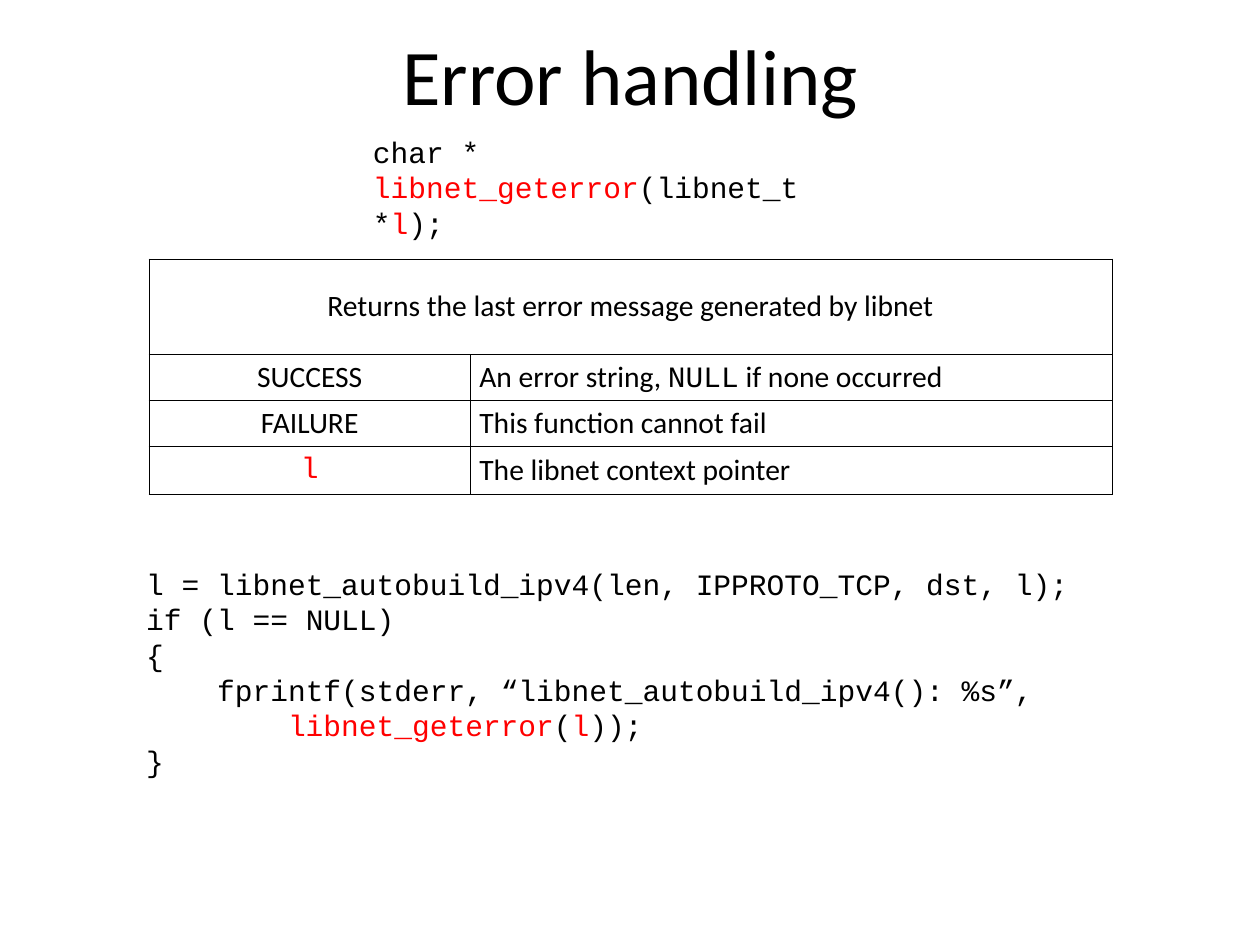
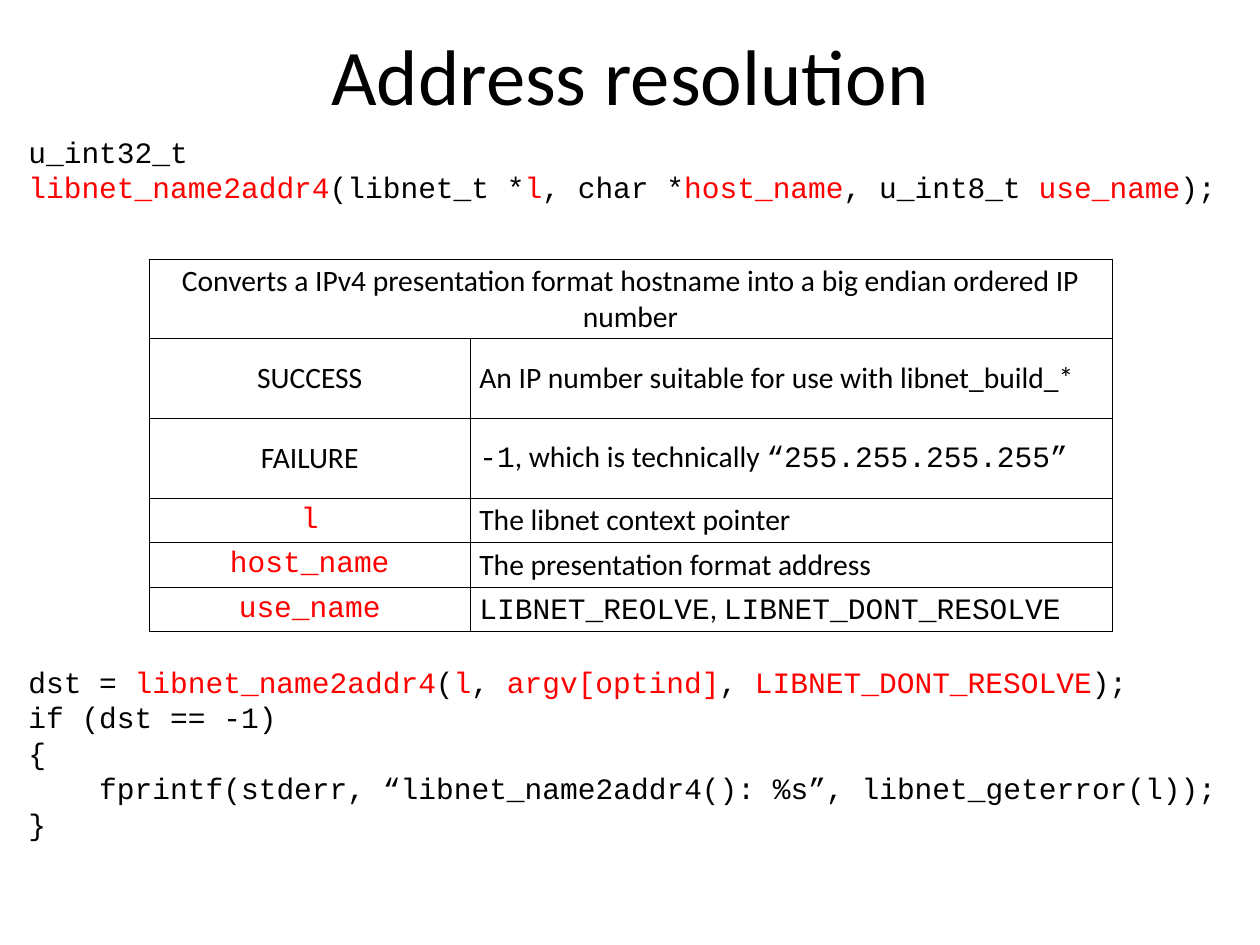
import pptx
import pptx.util
import pptx.enum.text
import pptx.dml.color
import pptx.oxml
import pptx.oxml.ns

Inches = pptx.util.Inches
Pt = pptx.util.Pt
ALIGN = pptx.enum.text.PP_ALIGN
MIDDLE = pptx.enum.text.MSO_ANCHOR.MIDDLE
GROW = pptx.enum.text.MSO_AUTO_SIZE.SHAPE_TO_FIT_TEXT

COLORS = {"ink": "000000", "mark": "FF0000"}
SANS, MONO = "Calibri", "Courier New"
SIZE = 24
GRID = (1.68, 2.92)
COLS = (3.63, 7.24)
RULE = 0.45

PAGES = [
    {
        "title": "Error handling",
        "call": ["char *", "~libnet_geterror~(libnet_t *~l~);"],
        "call_box": (4.21, 1.51, 5.8, 0.8),
        "wrap": False,
        "about": "Returns the last error message generated by libnet",
        "rows": [
            ("SUCCESS", "An error string, ~NULL~ if none occurred"),
            ("FAILURE", "This function cannot fail"),
            ("~l", "The libnet context pointer"),
        ],
        "heights": (1.08, 0.52, 0.52, 0.54),
        "code": [
            "l = libnet_autobuild_ipv4(len, IPPROTO_TCP, dst, l);",
            "if (l == NULL)",
            "{",
            "    fprintf(stderr, “libnet_autobuild_ipv4(): %s”,",
            "        ~libnet_geterror~(~l~));",
            "}",
        ],
        "code_box": (1.65, 6.38, 10.92, 2.4),
    },
    {
        "title": "Address resolution",
        "call": [
            "u_int32_t",
            "~libnet_name2addr4~(libnet_t *~l~, char *~host_name~, u_int8_t ~use_name~);",
        ],
        "call_box": (0.32, 1.51, 13.57, 0.8),
        "wrap": True,
        "about": "Converts a IPv4 presentation format hostname into a big endian ordered IP number",
        "rows": [
            ("SUCCESS", "An IP number suitable for use with libnet_build_*"),
            ("FAILURE", "~-1~, which is technically ~“255.255.255.255”"),
            ("~l", "The libnet context pointer"),
            ("~host_name", "The presentation format address"),
            ("~use_name", "~LIBNET_REOLVE~, ~LIBNET_DONT_RESOLVE"),
        ],
        "heights": (0.9, 0.9, 0.9, 0.5, 0.5, 0.5),
        "code": [
            "dst = ~libnet_name2addr4~(~l~, ~argv[optind]~, ~LIBNET_DONT_RESOLVE~);",
            "if (dst == -1)",
            "{",
            "    fprintf(stderr, “libnet_name2addr4(): %s”, libnet_geterror(l));",
            "}",
        ],
        "code_box": (0.32, 7.49, 13.57, 2),
    },
]


def paint(font, key):
    font.color.rgb = pptx.dml.color.RGBColor.from_string(COLORS[key])


def style(para, face, size=SIZE, align=ALIGN.LEFT):
    para.alignment = align
    para.font.name = face
    para.font.size = Pt(size)
    paint(para.font, "ink")


def write(para, text, face=None, key=None):
    for index, part in enumerate(text.split("~")):
        if part:
            run = para.add_run()
            run.text = part
            if index % 2:
                if face:
                    run.font.name = face
                if key:
                    paint(run.font, key)


def add_title(slide, text, box):
    title = slide.shapes.title
    title.left, title.top, title.width, title.height = map(Inches, box)
    frame = title.text_frame
    frame.text = text
    frame.vertical_anchor = MIDDLE
    style(frame.paragraphs[0], SANS, 64, ALIGN.CENTER)


def add_code(slide, lines, box, wrap=True):
    frame = slide.shapes.add_textbox(*map(Inches, box)).text_frame
    frame.margin_left = frame.margin_right = 0
    frame.margin_top = frame.margin_bottom = 0
    frame.word_wrap = wrap
    frame.auto_size = GROW
    for index, line in enumerate(lines):
        para = frame.add_paragraph() if index else frame.paragraphs[0]
        style(para, MONO)
        write(para, line, key="mark")


def rule(cell):
    cell.fill.background()
    props = cell._tc.get_or_add_tcPr()
    for index, side in enumerate("LRTB"):
        props.insert(index, pptx.oxml.parse_xml(
            f'<a:ln{side} {pptx.oxml.ns.nsdecls("a")} w="{int(Pt(RULE))}">'
            f'<a:solidFill><a:srgbClr val="{COLORS["ink"]}"/></a:solidFill>'
            f'</a:ln{side}>'))


def fill_cell(cell, text, align, key=None):
    cell.vertical_anchor = MIDDLE
    para = cell.text_frame.paragraphs[0]
    style(para, SANS, align=align)
    write(para, text, MONO, key)


def add_grid(slide, about, rows, heights, spot):
    size = (sum(COLS), sum(heights))
    table = slide.shapes.add_table(
        len(heights), len(COLS), *map(Inches, spot + size)).table
    table.first_row = table.horz_banding = False
    for col, width in zip(table.columns, COLS):
        col.width = Inches(width)
    for row, height in zip(table.rows, heights):
        row.height = Inches(height)
    for cell in table.iter_cells():
        rule(cell)
    head = table.cell(0, 0)
    head.merge(table.cell(0, 1))
    fill_cell(head, about, ALIGN.CENTER)
    for index, (name, note) in enumerate(rows, 1):
        fill_cell(table.cell(index, 0), name, ALIGN.CENTER, "mark")
        fill_cell(table.cell(index, 1), note, ALIGN.LEFT)


def add_page(deck, page):
    slide = deck.slides.add_slide(deck.slide_layouts[5])
    add_title(slide, page["title"], (1.39, 0.28, 11.44, 1.12))
    add_code(slide, page["call"], page["call_box"], page["wrap"])
    add_grid(slide, page["about"], page["rows"], page["heights"], GRID)
    add_code(slide, page["code"], page["code_box"])


def main():
    deck = pptx.Presentation()
    deck.slide_width, deck.slide_height = Inches(14.22), Inches(10.66)
    for page in PAGES:
        add_page(deck, page)
    deck.save("out.pptx")


if __name__ == "__main__":
    main()
